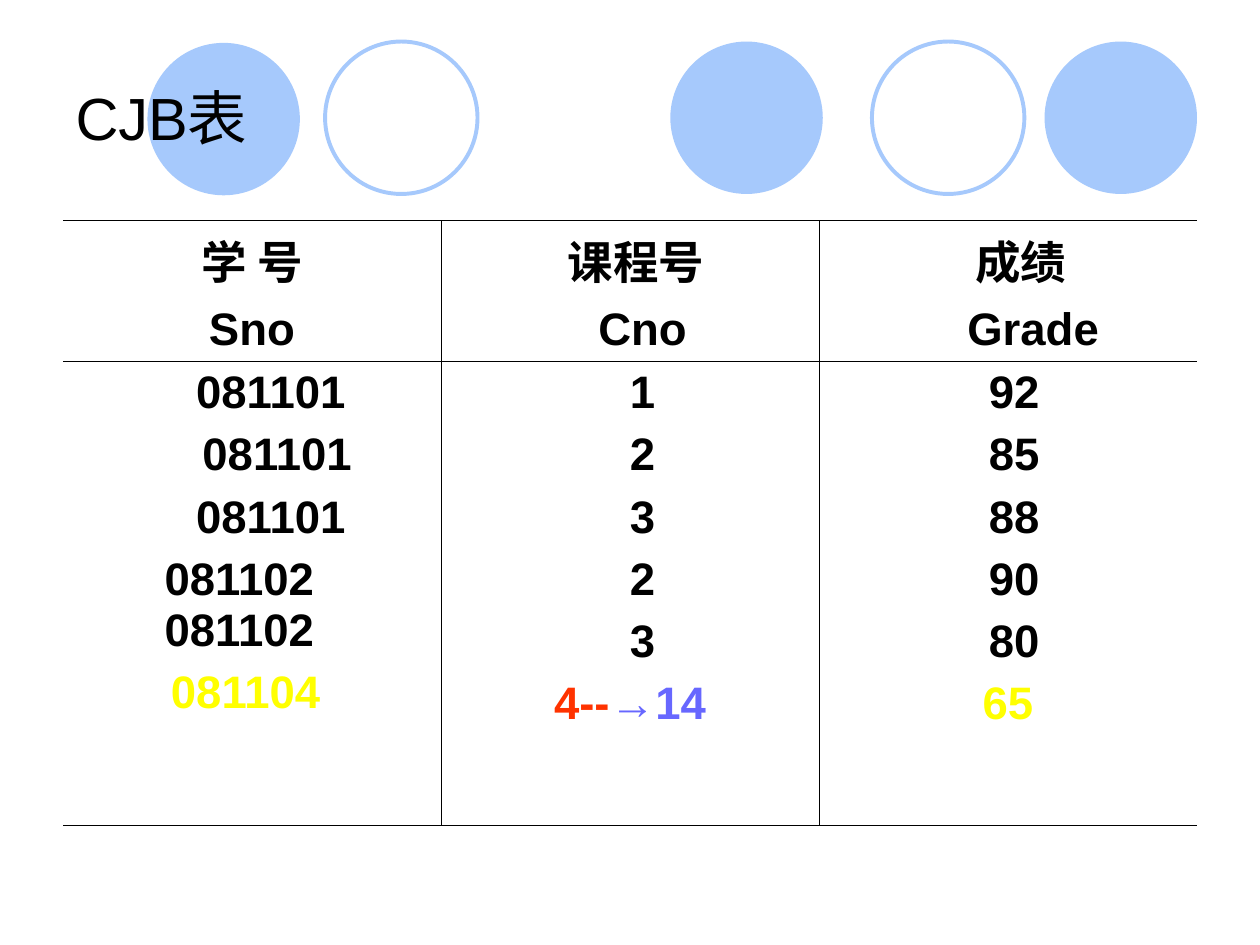
from lxml.etree import SubElement
from pptx import Presentation
from pptx.dml.color import RGBColor
from pptx.enum.shapes import MSO_SHAPE
from pptx.enum.text import MSO_ANCHOR, PP_ALIGN
from pptx.oxml.ns import qn
from pptx.util import Emu, Pt

PX = 9144  # 100 px to the inch
COLORS = {"sky": "A6C9FC", "black": "000000", "yellow": "FFFF00",
          "red": "FF3300", "violet": "6767FF"}
TITLE_FONT = {"name": "Arial", "size": Pt(34), "bold": False}
CELL_FONT = {"name": "Arial", "size": Pt(26), "bold": True}
GAP = 6.5     # points between the paragraphs of a cell
BORDER = 0.45


def px(n):
    return Emu(n * PX)


def rgb(name):
    return RGBColor.from_string(COLORS[name])


def line(text, shift=0, color="black", gap=GAP):
    """One cell paragraph; shift is the indent in px, negative from the right."""
    return [(text, color)], shift, gap


class SlideBuilder:
    def __init__(self, prs):
        self.slide = prs.slides.add_slide(prs.slide_layouts[5])

    def add_run(self, p, text, color, fmt):
        r = p.add_run()
        r.text = text
        for key, value in fmt.items():
            setattr(r.font, key, value)
        r.font.color.rgb = rgb(color)

    def circle(self, x, y, size, filled):
        sp = self.slide.shapes.add_shape(MSO_SHAPE.OVAL, px(x), px(y), px(size), px(size))
        sp.shadow.inherit = False
        if filled:
            sp.fill.solid()
            sp.fill.fore_color.rgb = rgb("sky")
            sp.line.fill.background()
        else:
            sp.fill.background()
            sp.line.color.rgb = rgb("sky")
            sp.line.width = Pt(2.25)

    def title(self, text, x, y, w, h):
        sp = self.slide.shapes.title
        sp.left, sp.top, sp.width, sp.height = map(px, (x, y, w, h))
        tf = sp.text_frame
        tf.vertical_anchor = MSO_ANCHOR.MIDDLE
        p = tf.paragraphs[0]
        p.alignment = PP_ALIGN.LEFT
        self.add_run(p, text, "black", TITLE_FONT)
        sp.element.getparent().append(sp.element)  # in front of the circles

    def borders(self, cell, visible):
        tcPr = cell._tc.get_or_add_tcPr()
        for side in "LRTB":
            ln = SubElement(tcPr, qn(f"a:ln{side}"), w=str(Pt(BORDER)))
            if side in visible:
                fill = SubElement(ln, qn("a:solidFill"))
                SubElement(fill, qn("a:srgbClr"), val=COLORS["black"])
            else:
                SubElement(ln, qn("a:noFill"))

    def fill_cell(self, cell, lines):
        tf = cell.text_frame
        for i, (runs, shift, gap) in enumerate(lines):
            p = tf.add_paragraph() if i else tf.paragraphs[0]
            p.alignment = PP_ALIGN.CENTER
            p.space_before = Pt(gap if i else 0)
            pPr = p._p.get_or_add_pPr()
            pPr.set("marL" if shift >= 0 else "marR", str(px(abs(shift))))
            pPr.set("indent", "0")
            for text, color in runs:
                self.add_run(p, text, color, CELL_FONT)

    def table(self, x, y, col_w, row_heights, rows):
        n = len(rows[0])
        frame = self.slide.shapes.add_table(len(rows), n, px(x), px(y),
                                            px(col_w * n), px(sum(row_heights)))
        table = frame.table
        table.first_row = table.horz_banding = False
        for col in table.columns:
            col.width = px(col_w)
        for r, (height, row) in enumerate(zip(row_heights, rows)):
            table.rows[r].height = px(height)
            for c, lines in enumerate(row):
                cell = table.cell(r, c)
                inner = ("L" if c else "") + ("R" if c < n - 1 else "")
                self.borders(cell, inner + "TB")
                cell.fill.background()
                self.fill_cell(cell, lines)


HEADER = [
    [line("学 号"), line("Sno")],
    [line("课程号", 10), line("Cno", 20)],
    [line("成绩", 20), line("Grade", 40)],
]
STUDENTS = [line("081101", 30), line("081101", 40), line("081101", 30),
            line("081102", -20), line("081102", gap=0),
            line("081104", 10, "yellow")]
COURSES = [line(no, 20) for no in "12323"]
COURSES.append(([("4--", "red"), ("→14", "violet")], 0, GAP))
GRADES = [line(grade, 10) for grade in ("92", "85", "88", "90", "80")]
GRADES.append(line("65", color="yellow"))


def main():
    prs = Presentation()
    prs.slide_width, prs.slide_height = px(1000), px(750)
    s = SlideBuilder(prs)
    for x, y, filled in ((532, 33, True), (829, 33, True), (117, 34, True),
                         (692, 33, False), (258, 33, False)):
        s.circle(x, y, 121, filled)
    s.title("CJB表", 50, 30, 900, 125)
    s.table(50, 175, 300, (110, 368), (HEADER, (STUDENTS, COURSES, GRADES)))
    prs.save("out.pptx")


if __name__ == "__main__":
    main()
